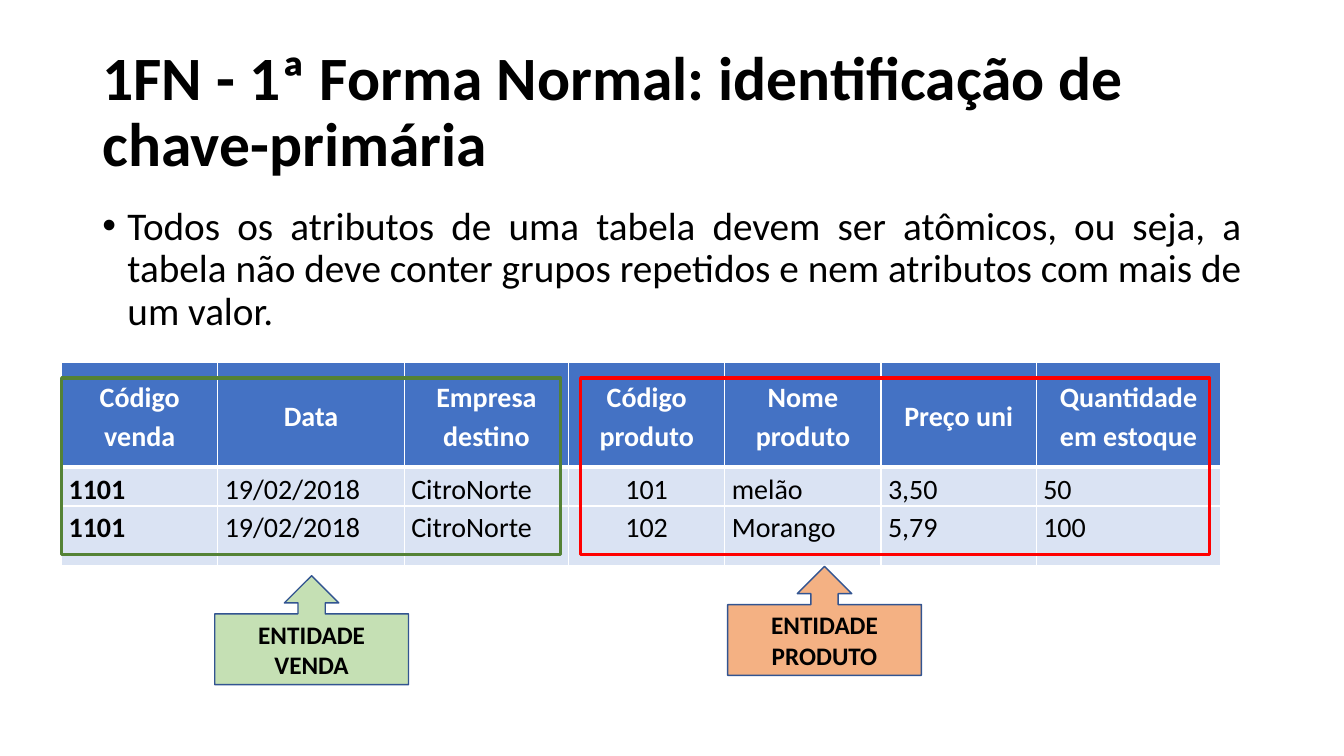
"""Build the slide on the first normal form and its primary key."""
from pptx import Presentation
from pptx.dml.color import RGBColor
from pptx.enum.shapes import MSO_SHAPE as Shape
from pptx.enum.text import MSO_ANCHOR as Anchor, MSO_AUTO_SIZE as Fit, PP_ALIGN as Align
from pptx.oxml import parse_xml
from pptx.oxml.ns import nsdecls
from pptx.util import Pt


def color(code):
    return RGBColor.from_string(code)


def style(para, size, bold=False, ink="000000", align=Align.LEFT):
    para.alignment = align
    font = para.font
    font.name, font.size, font.bold = "Calibri", Pt(size), bold
    font.color.rgb = color(ink)


deck = Presentation()
deck.slide_width, deck.slide_height = Pt(960), Pt(540)
slide = deck.slides.add_slide(deck.slide_layouts[5])
shapes = slide.shapes

title = shapes.title
title.left, title.top, title.width, title.height = Pt(66), Pt(28.8), Pt(828), Pt(104.4)
frame = title.text_frame
frame.text = "1FN - 1ª Forma Normal: identificação de chave-primária"
frame.vertical_anchor, frame.auto_size = Anchor.MIDDLE, Fit.NONE
para = frame.paragraphs[0]
para.line_spacing = 0.9
style(para, 44, True)

body = shapes.add_textbox(Pt(66), Pt(144), Pt(828), Pt(104.4))
frame = body.text_frame
frame.word_wrap = True
frame.text = ("Todos os atributos de uma tabela devem ser atômicos, ou seja, a tabela "
              "não deve conter grupos repetidos e nem atributos com mais de um valor.")
para = frame.paragraphs[0]
para.line_spacing = 0.9
props = para._p.get_or_add_pPr()
props.set("marL", str(Pt(18)))
props.set("indent", str(Pt(-18)))
for tag in ('buFont typeface="Arial"', 'buChar char="•"'):
    props.append(parse_xml(f"<a:{tag} {nsdecls('a')}/>"))
style(para, 28, align=Align.JUSTIFY)

rows = [
    ["Código venda", "Data", "Empresa destino", "Código produto",
     "Nome produto", "Preço uni", "Quantidade em estoque"],
    ["1101", "19/02/2018", "CitroNorte", "101", "melão", "3,50", "50"],
    ["1101", "19/02/2018", "CitroNorte", "102", "Morango", "5,79", "100"],
]
widths = [111.6, 133.2, 117.4, 111.6, 111.6, 110.9, 131.7]
heights = [75, 27.2, 42.4]
table = shapes.add_table(3, 7, Pt(44), Pt(258.8), Pt(828), Pt(144.6)).table
for col, width in zip(table.columns, widths):
    col.width = Pt(width)
for r, (row, height) in enumerate(zip(rows, heights)):
    table.rows[r].height = Pt(height)
    head = r == 0
    for c, text in enumerate(row):
        cell = table.cell(r, c)
        cell.text = text
        cell.margin_left = cell.margin_right = Pt(5)
        cell.margin_top = cell.margin_bottom = 0
        cell.vertical_anchor = Anchor.MIDDLE if head else Anchor.TOP
        para = cell.text_frame.paragraphs[0]
        para.line_spacing, para.space_after = 1.15, Pt(10)
        style(para, 20, head or c == 0, "FFFFFF" if head else "000000",
              Align.CENTER if head or c == 3 else Align.LEFT)
        edges = {"L": 1, "R": 1, "T": 3 if r == 1 else 1, "B": 3 if head else 1}
        for side, weight in edges.items():
            cell._tc.get_or_add_tcPr().append(parse_xml(
                f'<a:ln{side} {nsdecls("a")} w="{Pt(weight)}"><a:solidFill>'
                f'<a:srgbClr val="FFFFFF"/></a:solidFill></a:ln{side}>'))
        cell.fill.solid()
        cell.fill.fore_color.rgb = color("4472C4" if head else "DAE3F3")

groups = [
    ("ENTIDADE PRODUTO", 414.7, 449.3, "FF0000", 519.8, 404.6, "F4B183"),
    ("ENTIDADE VENDA", 44, 356.4, "548235", 153.4, 411.2, "C5E0B4"),
]
for name, left, width, edge, x, y, tint in groups:
    box = shapes.add_shape(Shape.RECTANGLE, Pt(left), Pt(270), Pt(width), Pt(126))
    box.fill.background()
    box.line.color.rgb, box.line.width = color(edge), Pt(2.25)
    label = shapes.add_shape(Shape.UP_ARROW_CALLOUT, Pt(x), Pt(y), Pt(138.4), Pt(77.8))
    label.fill.solid()
    label.fill.fore_color.rgb = color(tint)
    label.line.color.rgb, label.line.width = color("325491"), Pt(1)
    box.shadow.inherit = label.shadow.inherit = False
    frame = label.text_frame
    frame.text = name
    frame.word_wrap, frame.vertical_anchor = True, Anchor.MIDDLE
    style(frame.paragraphs[0], 18, True, align=Align.CENTER)

deck.save("out.pptx")
